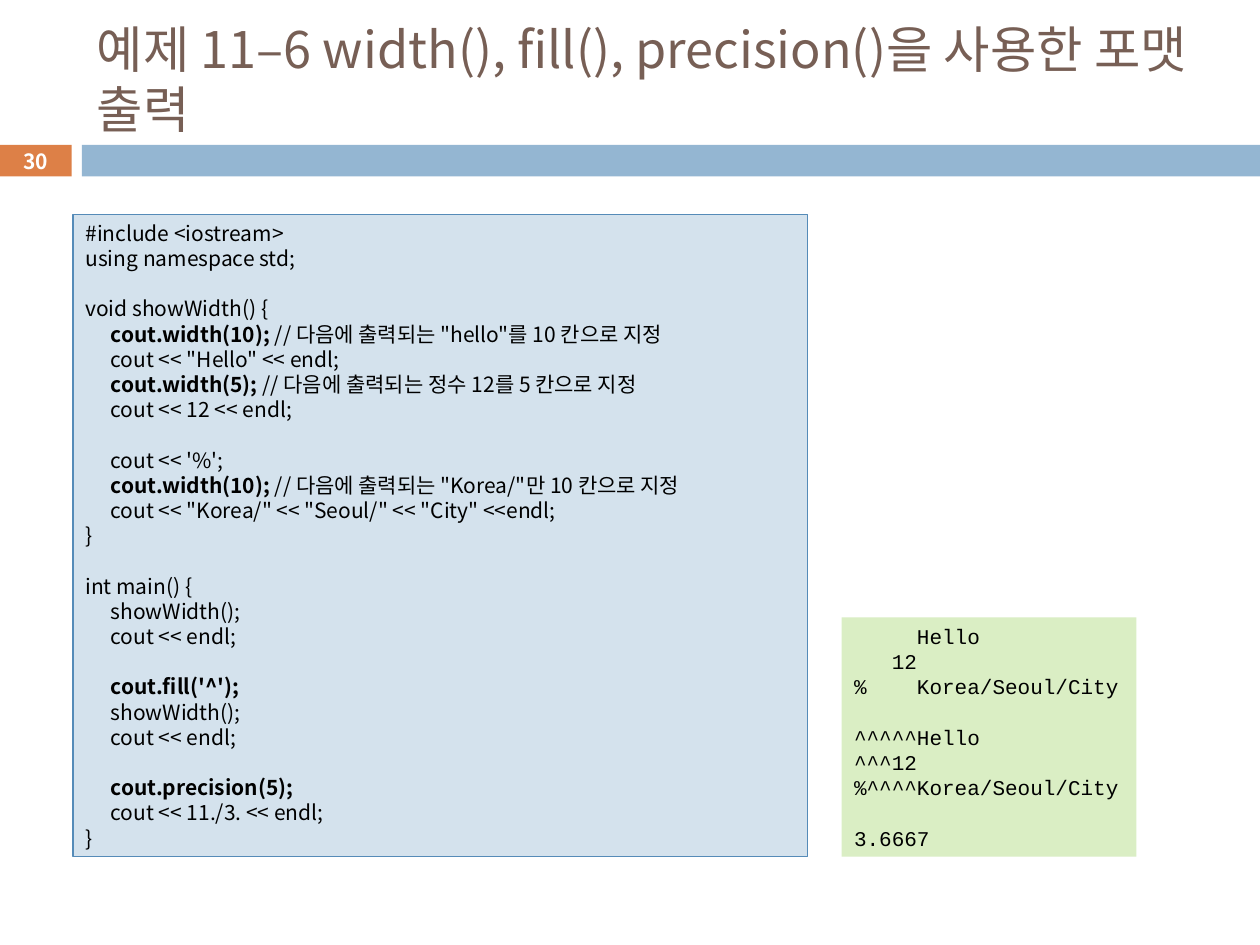
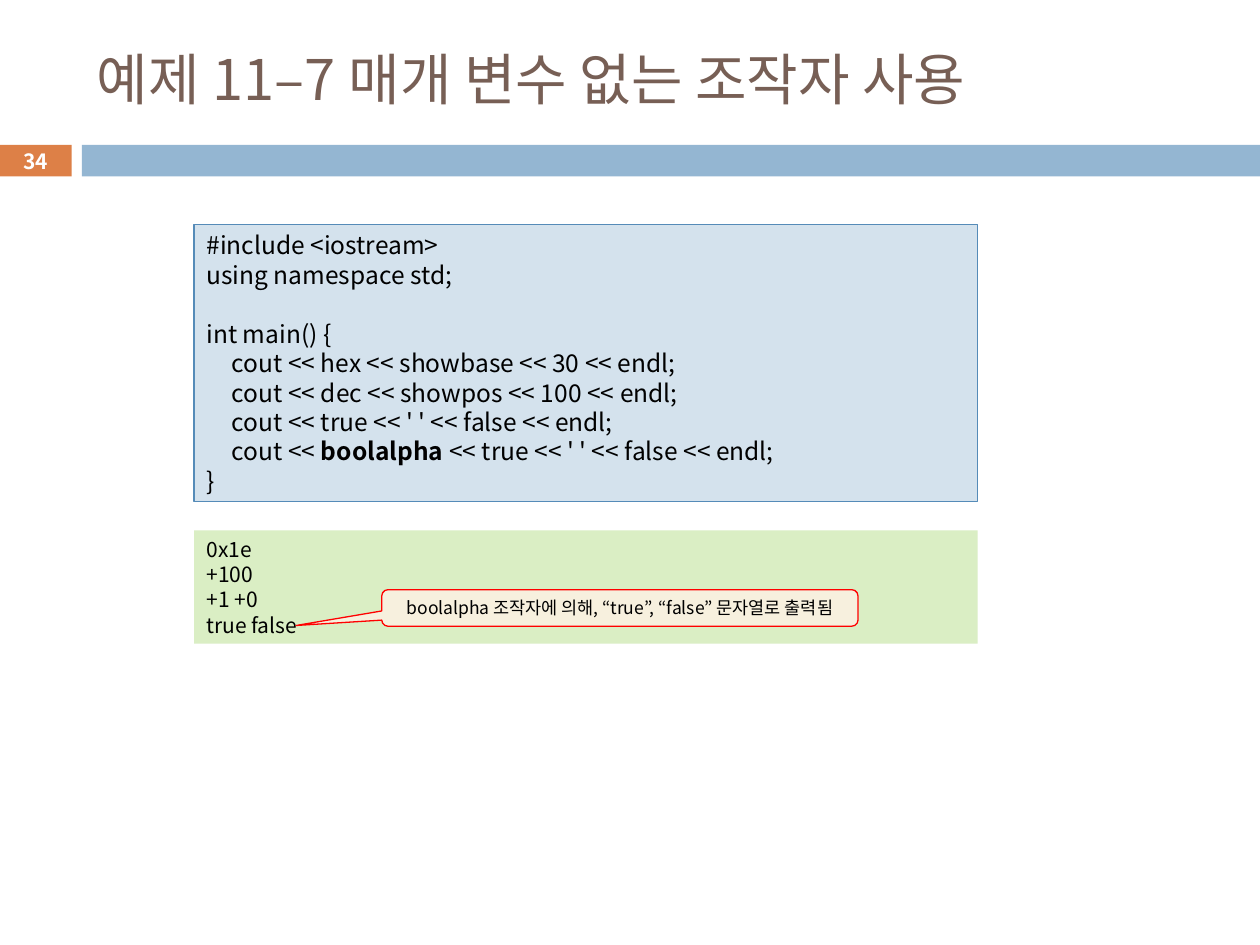
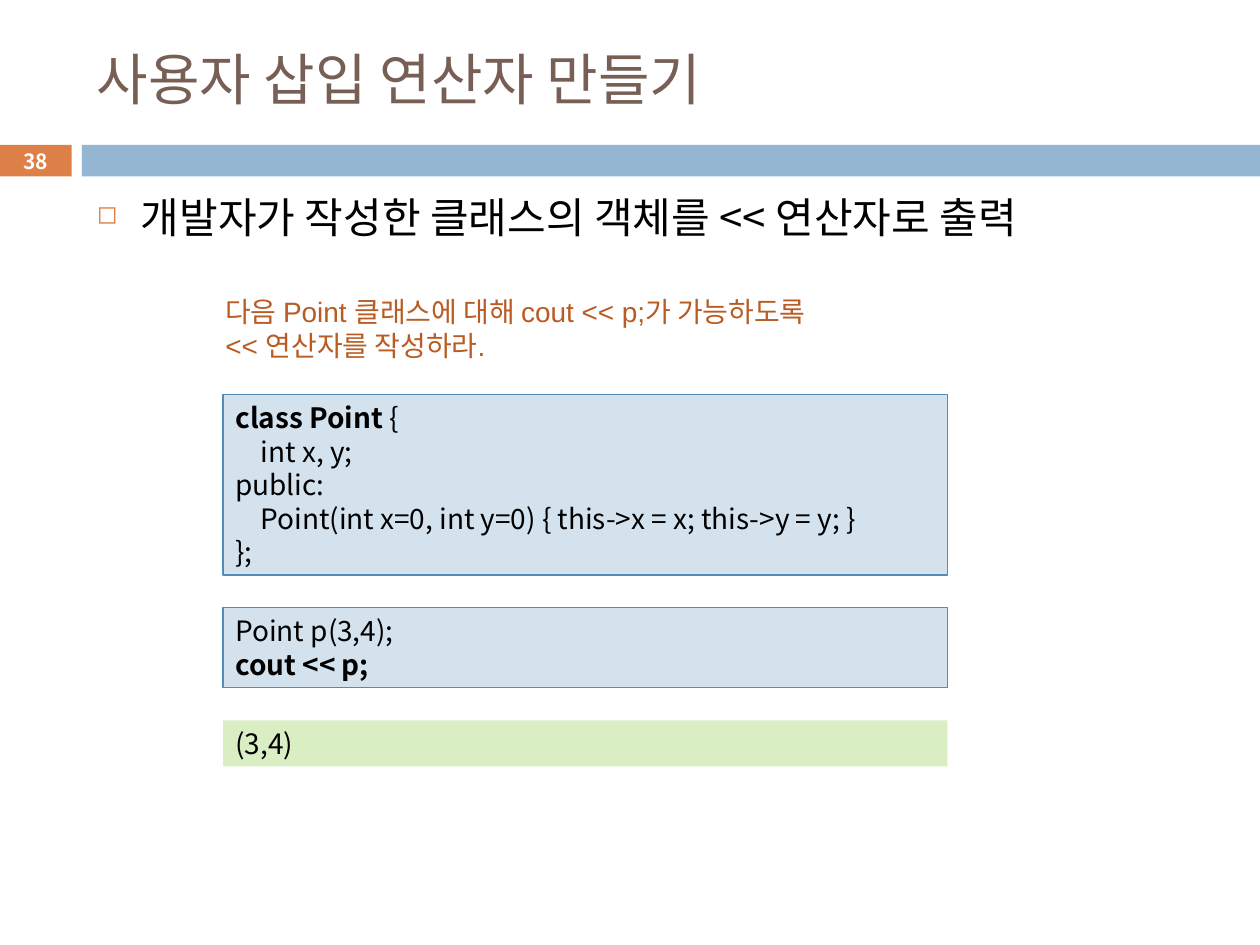
import pptx
import pptx.dml.color
import pptx.enum.shapes
import pptx.enum.text
import pptx.oxml.ns
import pptx.util
import lxml.etree

COLUMNS, ROWS = 100, 75
WIDTH, HEIGHT = pptx.util.Inches(10), pptx.util.Inches(7.5)
LINE_HEIGHT = 1.2
PADDING = 1
TAB = pptx.util.Inches(0.2)
SANS, MONO, LABEL = "Noto Sans CJK KR", "Courier New", "Arial"
BLACK, WHITE, TITLE, RUST = "000000", "FFFFFF", "775F55", "B95B22"
ORANGE, BLUE = "DD8047", "94B6D2"
CODE_FILL, CODE_LINE, OUTPUT_FILL = "D4E2ED", "558BB8", "DAEEC4"
NOTE_FILL, NOTE_LINE = "F7F0DE", "FF0000"

TOP = pptx.enum.text.MSO_ANCHOR.TOP
MIDDLE = pptx.enum.text.MSO_ANCHOR.MIDDLE
LEFT = pptx.enum.text.PP_ALIGN.LEFT
CENTER = pptx.enum.text.PP_ALIGN.CENTER
RECTANGLE = pptx.enum.shapes.MSO_SHAPE.RECTANGLE
CALLOUT = pptx.enum.shapes.MSO_SHAPE.ROUNDED_RECTANGULAR_CALLOUT

WIDTH_CODE = """#include <iostream>
using namespace std;

void showWidth() {
\t**cout.width(10); **// 다음에 출력되는 "hello"를 10 칸으로 지정
\tcout << "Hello" << endl;
\t**cout.width(5); **// 다음에 출력되는 정수 12를 5 칸으로 지정
\tcout << 12 << endl;

\tcout << '%';
\t**cout.width(10); **// 다음에 출력되는 "Korea/"만 10 칸으로 지정
\tcout << "Korea/" << "Seoul/" << "City" <<endl;
}

int main() {
\tshowWidth();
\tcout << endl;

\t**cout.fill('^');**
\tshowWidth();
\tcout << endl;

\t**cout.precision(5);**
\tcout << 11./3. << endl;
}"""

WIDTH_OUTPUT = """     Hello
   12
%    Korea/Seoul/City

^^^^^Hello
^^^12
%^^^^Korea/Seoul/City

3.6667"""

MANIPULATOR_CODE = """#include <iostream>
using namespace std;

int main() {
\tcout << hex << showbase << 30 << endl;
\tcout << dec << showpos << 100 << endl;
\tcout << true << ' ' << false << endl;
\tcout << **boolalpha** << true << ' ' << false << endl;
}"""

MANIPULATOR_OUTPUT = """0x1e
+100
+1 +0
true false"""

POINT_CLASS = """**class Point **{
\tint x, y;
public:
\tPoint(int x=0, int y=0) { this->x = x; this->y = y; }
};"""

POINT_USE = """Point p(3,4);
**cout << p;**"""

POINT_TASK = """다음 Point 클래스에 대해 cout << p;가 가능하도록
<< 연산자를 작성하라."""


def color(value):
    return pptx.dml.color.RGBColor.from_string(value)


def place(box):
    left, top, width, height = box
    return (round(left * WIDTH / COLUMNS), round(top * HEIGHT / ROWS),
            round(width * WIDTH / COLUMNS), round(height * HEIGHT / ROWS))


def height_of(text, size):
    lines = text.count("\n") + 1
    return 2 * PADDING * 0.5 + lines * size * LINE_HEIGHT / 72 * 10


def add_child(parent, name, **attributes):
    return lxml.etree.SubElement(parent, pptx.oxml.ns.qn(name), attributes)


def add_tab_stop(paragraph):
    stops = add_child(paragraph._p.get_or_add_pPr(), "a:tabLst")
    add_child(stops, "a:tab", pos=str(TAB), algn="l")


def add_bullet(paragraph, indent):
    properties = paragraph._p.get_or_add_pPr()
    properties.set("marL", str(indent))
    properties.set("indent", str(-indent))
    add_child(add_child(properties, "a:buClr"), "a:srgbClr", val=ORANGE)
    add_child(properties, "a:buSzPct", val="60000")
    add_child(properties, "a:buChar", char="◻")


def write(shape, text, size, ink=BLACK, font=SANS, align=LEFT, anchor=TOP,
          wrap=True, bold=False, bullet_indent=None):
    frame = shape.text_frame
    frame.word_wrap = wrap
    frame.vertical_anchor = anchor
    for number, line in enumerate(text.split("\n")):
        paragraph = frame.add_paragraph() if number else frame.paragraphs[0]
        paragraph.alignment = align
        paragraph.line_spacing = pptx.util.Pt(size * LINE_HEIGHT)
        if bullet_indent:
            add_bullet(paragraph, bullet_indent)
        if line.startswith("\t"):
            add_tab_stop(paragraph)
        paragraph.font.size = pptx.util.Pt(size)
        paragraph.font.name = font
        paragraph.font.bold = bold
        paragraph.font.color.rgb = color(ink)
        defaults = paragraph._p.pPr.find(pptx.oxml.ns.qn("a:defRPr"))
        add_child(defaults, "a:ea", typeface=SANS)
        for index, part in enumerate(line.split("**")):
            if part:
                run = paragraph.add_run()
                run.text = part
                if index % 2:
                    run.font.bold = True


def add_panel(slide, box, fill, line=None, kind=RECTANGLE):
    shape = slide.shapes.add_shape(kind, *place(box))
    shape.shadow.inherit = False
    shape.fill.solid()
    shape.fill.fore_color.rgb = color(fill)
    if line:
        shape.line.color.rgb = color(line)
        shape.line.width = pptx.util.Pt(0.75)
    else:
        shape.line.fill.background()
    return shape


def add_text(slide, box, text, size, **style):
    write(slide.shapes.add_textbox(*place(box)), text, size, **style)


def add_code(slide, left, top, width, text, size):
    height = height_of(text, size)
    panel = add_panel(slide, (left, top, width, height), CODE_FILL, CODE_LINE)
    write(panel, text, size)
    return top + height


def add_output(slide, left, top, width, text, size, **style):
    panel = add_panel(slide, (left, top, width, height_of(text, size)), OUTPUT_FILL)
    write(panel, text, size, **style)


def add_note(slide, box, text, pointer):
    note = add_panel(slide, box, NOTE_FILL, NOTE_LINE, CALLOUT)
    for index, share in enumerate(pointer):
        note.adjustments[index] = share
    write(note, text, 10, align=CENTER, anchor=MIDDLE)


def add_header_slide(presentation, title, number, size=32):
    slide = presentation.slides.add_slide(presentation.slide_layouts[6])
    band_top, band_height, number_width, band_left = 11.5, 2.5, 5.7, 6.5
    badge = add_panel(slide, (0, band_top, number_width, band_height), ORANGE)
    write(badge, number, 12, ink=WHITE, align=CENTER, anchor=MIDDLE, bold=True)
    add_panel(slide, (band_left, band_top, COLUMNS - band_left, band_height), BLUE)
    add_text(slide, (6.7, 2.5, 89.2, 7.4), title, size, ink=TITLE, anchor=MIDDLE)
    return slide


def build_width_slide(presentation):
    slide = add_header_slide(
        presentation, "예제 11–6 width(), fill(), precision()을 사용한 포맷 출력", "30", 28.8)
    bottom = add_code(slide, 5.8, 17, 58.3, WIDTH_CODE, 12)
    output_top = bottom - height_of(WIDTH_OUTPUT, 12)
    add_output(slide, 66.8, output_top, 23.4, WIDTH_OUTPUT, 12, font=MONO, wrap=False)


def build_manipulator_slide(presentation):
    slide = add_header_slide(presentation, "예제 11–7 매개 변수 없는 조작자 사용", "34")
    left, width = 15.4, 62.2
    bottom = add_code(slide, left, 17.8, width, MANIPULATOR_CODE, 14)
    output_top = bottom + 2.3
    add_output(slide, left, output_top, width, MANIPULATOR_OUTPUT, 12)
    add_note(slide, (left + 14.9, output_top + 4.7, 37.8, 2.9),
             "boolalpha 조작자에 의해, “true”, “false” 문자열로 출력됨",
             (-0.68, 0.48, 0.17))


def build_operator_slide(presentation):
    slide = add_header_slide(presentation, "사용자 삽입 연산자 만들기", "38")
    add_text(slide, (6.7, 14.7, 89.2, 5.5),
             "개발자가 작성한 클래스의 객체를 << 연산자로 출력", 24,
             bullet_indent=pptx.util.Inches(0.35))
    add_text(slide, (16.9, 22.9, 62.2, 6.4), POINT_TASK, 16, ink=RUST, font=LABEL)
    left, top, width, gap = 17.7, 31.3, 57.5, 2.6
    for code in (POINT_CLASS, POINT_USE):
        top = add_code(slide, left, top, width, code, 16) + gap
    add_output(slide, left, top, width, "(3,4)", 16)


def main():
    presentation = pptx.Presentation()
    presentation.slide_width, presentation.slide_height = WIDTH, HEIGHT
    build_width_slide(presentation)
    build_manipulator_slide(presentation)
    build_operator_slide(presentation)
    presentation.save("out.pptx")


if __name__ == "__main__":
    main()
